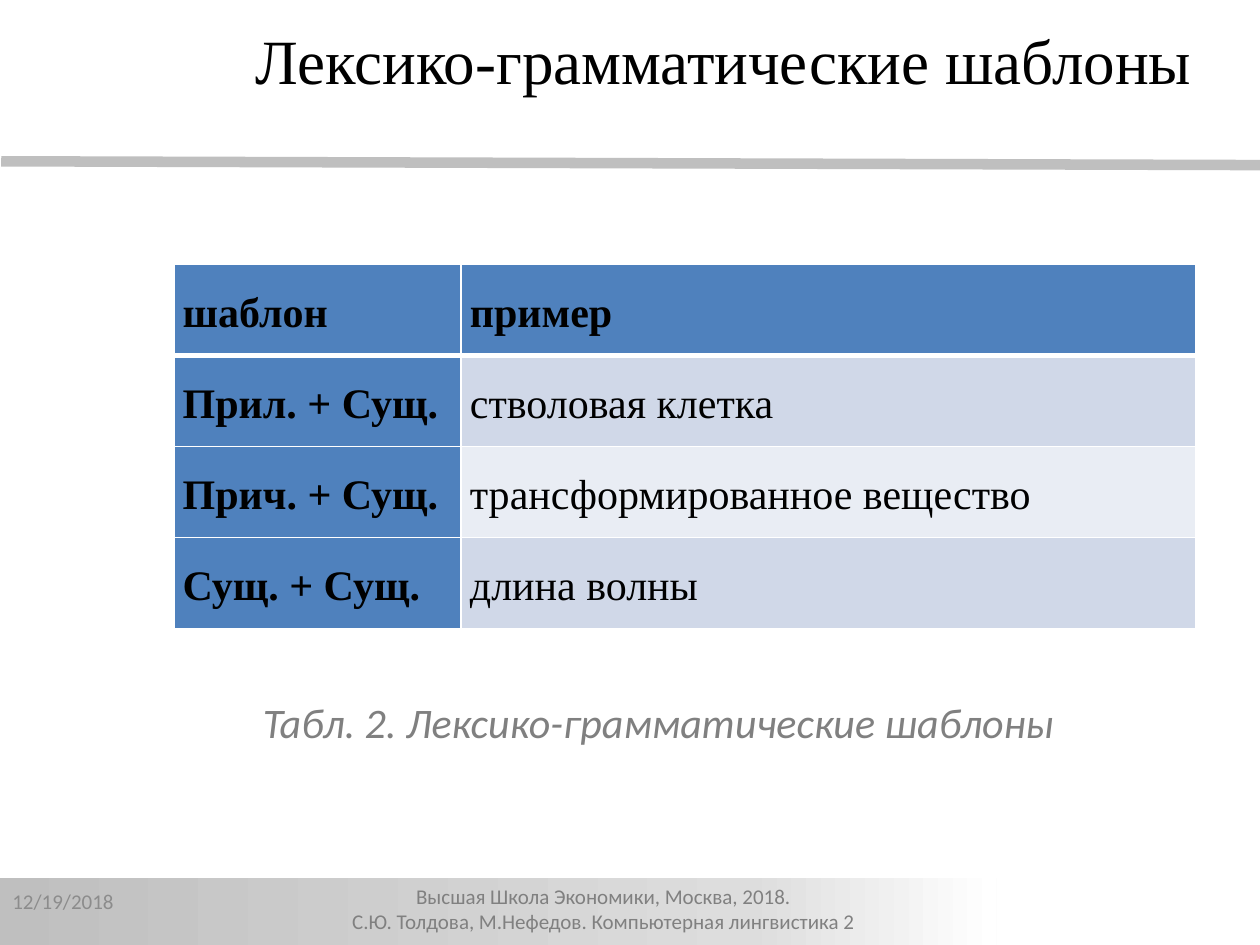
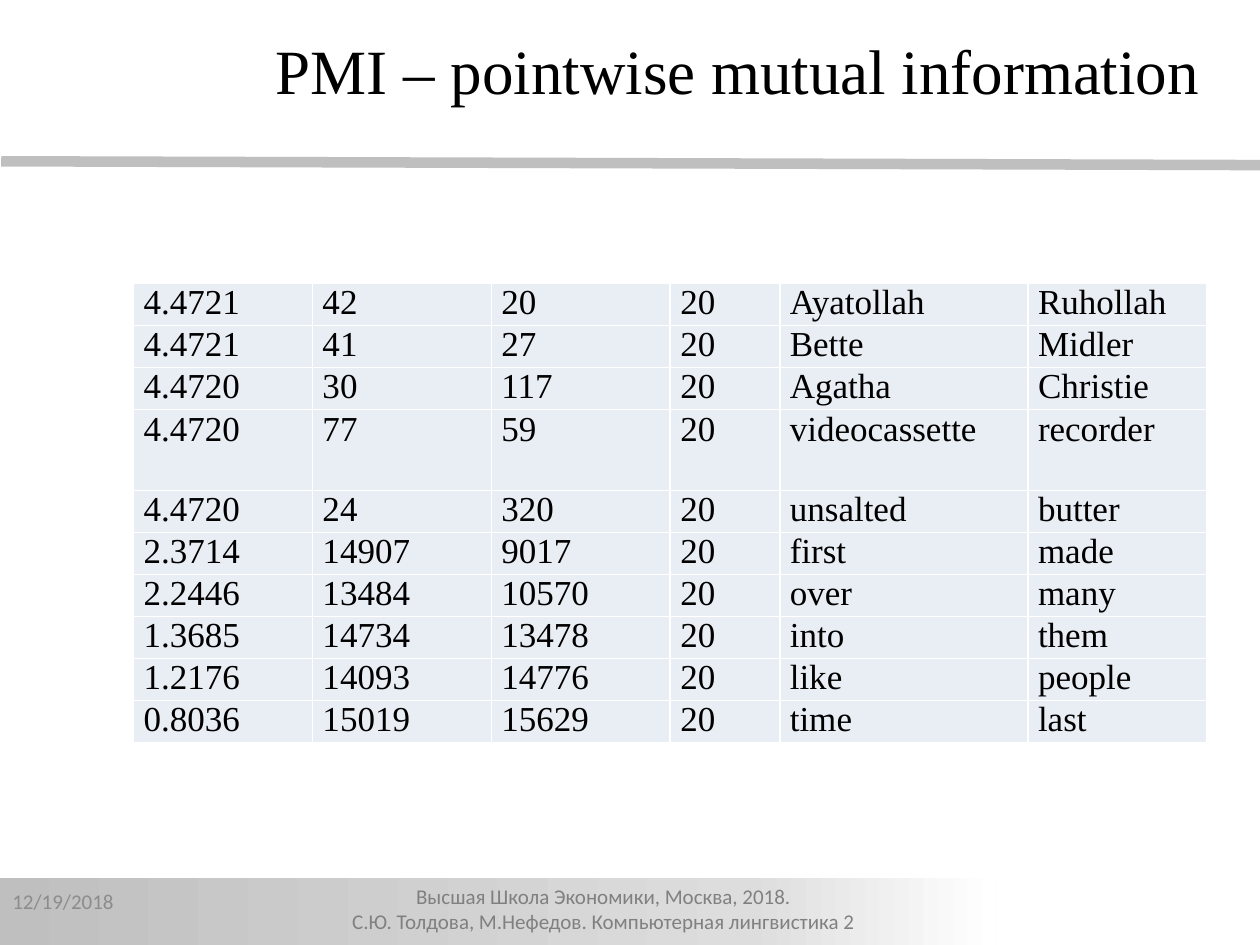
import copy

import pptx
import pptx.dml.color
import pptx.enum.shapes
import pptx.enum.text
import pptx.oxml
import pptx.oxml.ns
import pptx.util
from lxml import etree

COLORS = {
    "black": "000000", "white": "FFFFFF", "rule": "BFBFBF", "band": "DDDDDD",
    "footer": "808080", "date": "8C8C8C",
    "header": "4F81BD", "dark row": "D0D8E8", "light row": "E9EDF4",
}
SERIF, SANS = "Times New Roman", "Calibri"
ALIGN, ANCHOR = pptx.enum.text.PP_ALIGN, pptx.enum.text.MSO_ANCHOR
FIT = pptx.enum.text.MSO_AUTO_SIZE.SHAPE_TO_FIT_TEXT
qn = pptx.oxml.ns.qn

deck = pptx.Presentation()
deck.slide_width, deck.slide_height = pptx.util.Inches(10), pptx.util.Inches(7.5)


def grid(*lengths):
    """Turn alternating columns and rows of a 100 x 100 grid into lengths."""
    sides = (deck.slide_width, deck.slide_height)
    return [round(n * sides[i % 2] / 100) for i, n in enumerate(lengths)]


def write(frame, text, font=SERIF, size=20, color="black", bold=False, italic=False,
          align=ALIGN.LEFT, spacing=None, indent=0):
    for i, line in enumerate(text.split("\n")):
        paragraph = frame.paragraphs[0] if i == 0 else frame.add_paragraph()
        paragraph.alignment, paragraph.line_spacing = align, spacing
        if indent:
            paragraph._p.get_or_add_pPr().set("indent", str(pptx.util.Inches(indent)))
        run = paragraph.add_run()
        run.text = line
        run.font.name, run.font.size = font, pptx.util.Pt(size)
        run.font.bold, run.font.italic = bold, italic
        run.font.color.rgb = pptx.dml.color.RGBColor.from_string(COLORS[color])


# Content of the two slides
patterns = [
    ("шаблон", "пример"),
    ("Прил. + Сущ.", "стволовая клетка"),
    ("Прич. + Сущ.", "трансформированное вещество"),
    ("Сущ. + Сущ.", "длина волны"),
]
collocations = [
    ("4.4721", "42", "20", "20", "Ayatollah", "Ruhollah"),
    ("4.4721", "41", "27", "20", "Bette", "Midler"),
    ("4.4720", "30", "117", "20", "Agatha", "Christie"),
    ("4.4720", "77", "59", "20", "videocassette", "recorder"),
    ("4.4720", "24", "320", "20", "unsalted", "butter"),
    ("2.3714", "14907", "9017", "20", "first", "made"),
    ("2.2446", "13484", "10570", "20", "over", "many"),
    ("1.3685", "14734", "13478", "20", "into", "them"),
    ("1.2176", "14093", "14776", "20", "like", "people"),
    ("0.8036", "15019", "15629", "20", "time", "last"),
]
topics = [
    dict(title="Лексико-грамматические шаблоны", title_at=(19.3, 1.6, 77, 9.47),
         rows=patterns, corner=(13.8, 28), widths=[22.8, 58.3], heights=[9.63] * 4,
         headed=True, inset=0.07, size=24, spacing=1.15, anchor=ANCHOR.MIDDLE,
         caption="Табл. 2. Лексико-грамматические шаблоны"),
    dict(title="PMI – pointwise mutual information", title_at=(20.9, 2.67, 77.2, 9.47),
         rows=collocations, corner=(10.6, 30),
         widths=[14.2, 14.2, 14.2, 8.7, 19.7, 14.2],
         heights=[4.44] * 3 + [8.53] + [4.44] * 6,
         headed=False, inset=0.08, size=20, spacing=None, anchor=ANCHOR.TOP,
         caption=None),
]

for topic in topics:
    slide = deck.slides.add_slide(deck.slide_layouts[6])

    # Rule under the title
    rule = slide.shapes.add_connector(pptx.enum.shapes.MSO_CONNECTOR.STRAIGHT,
                                      *grid(0.1, 17.07, 100.2, 17.47))
    rule.line.width = pptx.util.Pt(6)
    rule.line.color.rgb = pptx.dml.color.RGBColor.from_string(COLORS["rule"])
    etree.SubElement(rule._element.spPr, qn("a:effectLst"))

    # Fading footer band
    band = slide.shapes.add_shape(pptx.enum.shapes.MSO_SHAPE.RECTANGLE,
                                  *grid(-0.1, 92.93, 79.2, 7.6))
    band.shadow.inherit = False
    band.line.fill.background()
    band.fill.gradient()
    band.fill.gradient_angle = 0
    stop_list = band._element.spPr.find(".//" + qn("a:gsLst"))
    stop_list.append(copy.deepcopy(stop_list[0]))
    fade = [(0, "rule"), (0.75, "band"), (1, "white")]
    for stop, (position, color) in zip(band.fill.gradient_stops, fade):
        stop.position = position
        stop.color.rgb = pptx.dml.color.RGBColor.from_string(COLORS[color])

    # Footer and date
    footer = slide.shapes.add_textbox(*grid(19.1, 92.8, 57.6, 6)).text_frame
    footer.word_wrap = True
    write(footer, "Высшая Школа Экономики, Москва, 2018.\n"
          "С.Ю. Толдова, М.Нефедов. Компьютерная лингвистика 2",
          font=SANS, size=12, color="footer", align=ALIGN.CENTER)
    date = slide.shapes.add_textbox(*grid(0, 92.67, 23.3, 5.33)).text_frame
    date.word_wrap, date.vertical_anchor = True, ANCHOR.MIDDLE
    write(date, "12/19/2018", font=SANS, size=12, color="date")

    # Table
    rows, widths, heights = topic["rows"], topic["widths"], topic["heights"]
    table = slide.shapes.add_table(
        len(rows), len(widths),
        *grid(*topic["corner"], sum(widths), sum(heights))).table
    table.first_row, table.horz_banding = False, False
    for column, width in zip(table.columns, widths):
        column.width = grid(width)[0]
    for row, height in zip(table.rows, heights):
        row.height = grid(0, height)[1]
    for r, values in enumerate(rows):
        for c, value in enumerate(values):
            cell = table.cell(r, c)
            is_header = topic["headed"] and (r == 0 or c == 0)
            is_dark = topic["headed"] and r % 2 == 1
            fill = "header" if is_header else "dark row" if is_dark else "light row"
            cell.fill.solid()
            cell.fill.fore_color.rgb = pptx.dml.color.RGBColor.from_string(COLORS[fill])
            cell.margin_left = cell.margin_right = pptx.util.Inches(topic["inset"])
            cell.margin_top = cell.margin_bottom = 0
            cell.vertical_anchor = topic["anchor"]
            write(cell.text_frame, value, size=topic["size"], bold=is_header,
                  spacing=topic["spacing"])
            # White borders, thick below the header row
            for i, side in enumerate(("lnL", "lnR", "lnT", "lnB")):
                thick = topic["headed"] and (r, side) in [(0, "lnB"), (1, "lnT")]
                border = etree.Element(qn("a:" + side), w=str(pptx.util.Pt(3 if thick else 1)))
                paint = etree.SubElement(border, qn("a:solidFill"))
                etree.SubElement(paint, qn("a:srgbClr"), val=COLORS["white"])
                cell._tc.get_or_add_tcPr().insert(i, border)

    # Caption below the table
    if topic["caption"]:
        caption = slide.shapes.add_textbox(*grid(14.6, 73.07, 70.4, 6.67)).text_frame
        caption.word_wrap, caption.auto_size = False, FIT
        caption.vertical_anchor = ANCHOR.MIDDLE
        write(caption, topic["caption"], font=SANS, size=24, color="footer",
              italic=True, align=ALIGN.CENTER, indent=0.49)

    # Title
    title = slide.shapes.add_textbox(*grid(*topic["title_at"])).text_frame
    title.word_wrap, title.auto_size = True, FIT
    write(title, topic["title"], size=36)

deck.save("out.pptx")
